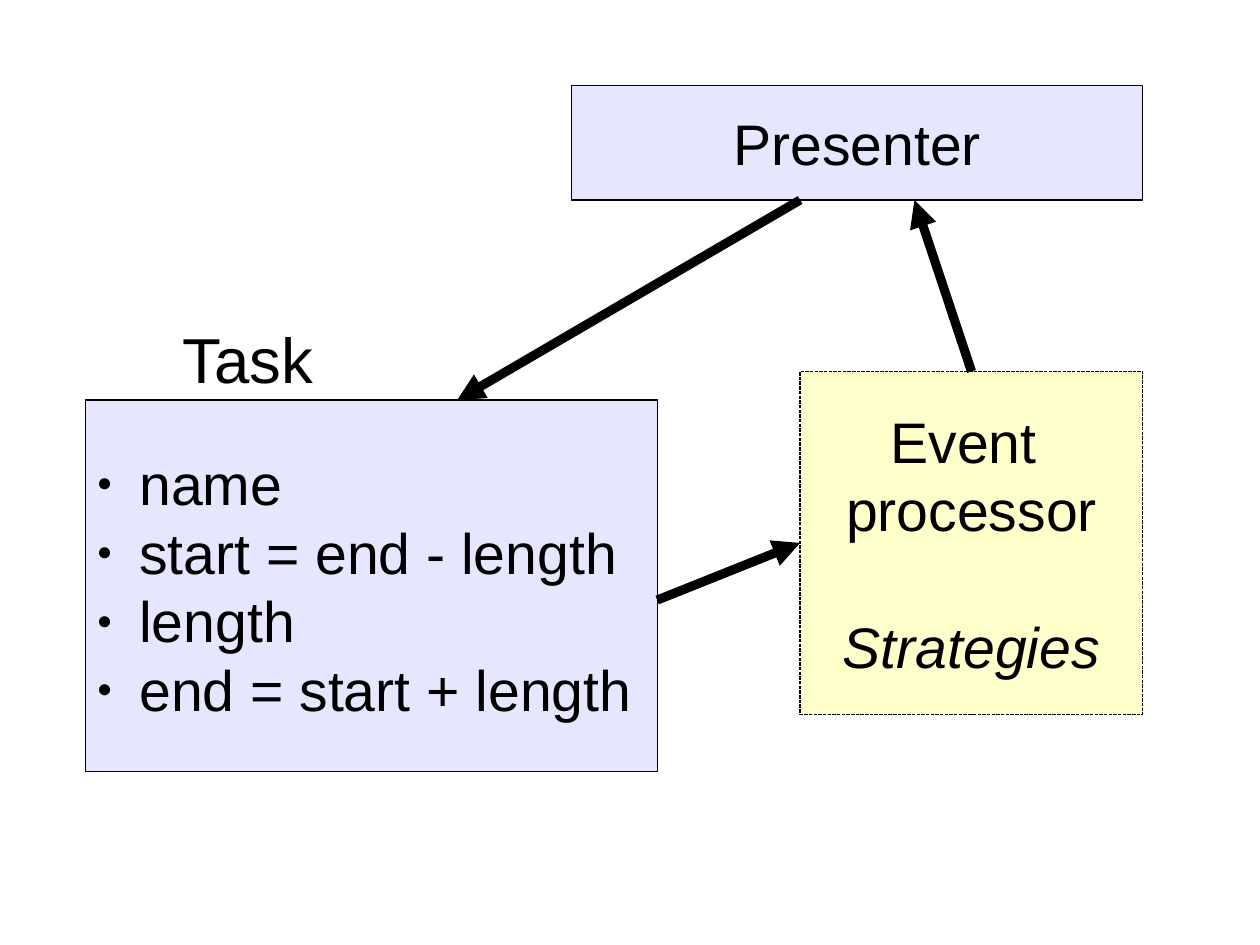
from dataclasses import dataclass

from lxml import etree
from pptx import Presentation
from pptx.dml.color import RGBColor
from pptx.enum.dml import MSO_LINE
from pptx.enum.shapes import MSO_CONNECTOR, MSO_SHAPE
from pptx.enum.text import MSO_ANCHOR, MSO_AUTO_SIZE, PP_ALIGN
from pptx.oxml.ns import qn
from pptx.slide import Slide
from pptx.text.text import TextFrame, _Paragraph
from pptx.util import Inches, Pt

RECTANGLE = MSO_SHAPE.RECTANGLE
STRAIGHT = MSO_CONNECTOR.STRAIGHT
DASHED = MSO_LINE.SQUARE_DOT
MIDDLE = MSO_ANCHOR.MIDDLE
TOP = MSO_ANCHOR.TOP
LEFT = PP_ALIGN.LEFT
CENTER = PP_ALIGN.CENTER
GROW = MSO_AUTO_SIZE.SHAPE_TO_FIT_TEXT

CENTIMETERS_PER_INCH = 2.54
SLIDE_WIDTH = Inches(28 / CENTIMETERS_PER_INCH)
SLIDE_HEIGHT = Inches(21 / CENTIMETERS_PER_INCH)


@dataclass(frozen=True)
class Theme:
    font: str = "Arial"
    ink: RGBColor = RGBColor(0x00, 0x00, 0x00)
    lavender: RGBColor = RGBColor(0xE6, 0xE6, 0xFF)
    yellow: RGBColor = RGBColor(0xFF, 0xFF, 0xCC)
    body_size: float = 36
    label_size: float = 40
    outline_width: float = 0
    arrow_width: float = 5.75
    bullet_indent: float = 0.37


THEME = Theme()


@dataclass(frozen=True)
class Line:
    text: str
    italic: bool = False
    bullet: bool = False
    space_before: float = 0


@dataclass(frozen=True)
class Box:
    left: float
    top: float
    width: float
    height: float
    fill: RGBColor
    lines: tuple[Line, ...]
    alignment: PP_ALIGN = CENTER
    dashed: bool = False


@dataclass(frozen=True)
class Arrow:
    start: tuple[float, float]
    end: tuple[float, float]


TASK_FIELDS = ("name", "start = end - length", "length", "end = start + length")

BOXES = (
    Box(0.75, 3.5, 5, 3.25, THEME.lavender,
        tuple(Line(field, bullet=True) for field in TASK_FIELDS), LEFT),
    Box(5, 0.75, 5, 1, THEME.lavender, (Line("Presenter"),)),
    Box(7, 3.25, 3, 3, THEME.yellow,
        (Line("Event "), Line("processor"),
         Line("Strategies", italic=True, space_before=43)), dashed=True),
)

ARROWS = (
    Arrow((7, 1.75), (4, 3.5)),
    Arrow((5.75, 5.25), (7, 4.75)),
    Arrow((8.5, 3.25), (8, 1.75)),
)


def add_bullet(paragraph: _Paragraph) -> None:
    properties = paragraph._p.get_or_add_pPr()
    indent = Inches(THEME.bullet_indent)
    properties.set("marL", str(indent))
    properties.set("indent", str(-indent))
    color = etree.SubElement(properties, qn("a:buClr"))
    etree.SubElement(color, qn("a:srgbClr"), val=str(THEME.ink))
    etree.SubElement(properties, qn("a:buSzPct"), val="45000")
    etree.SubElement(properties, qn("a:buFont"), typeface=THEME.font)
    etree.SubElement(properties, qn("a:buChar"), char="●")


def write_lines(frame: TextFrame, lines: tuple[Line, ...], size: float,
                alignment: PP_ALIGN) -> None:
    for index, line in enumerate(lines):
        paragraph = frame.add_paragraph() if index else frame.paragraphs[0]
        paragraph.alignment = alignment
        if line.space_before:
            paragraph.space_before = Pt(line.space_before)
        if line.bullet:
            add_bullet(paragraph)
        run = paragraph.add_run()
        run.text = line.text
        font_format = {"name": THEME.font, "size": Pt(size), "italic": line.italic}
        for name, value in font_format.items():
            setattr(run.font, name, value)
        run.font.color.rgb = THEME.ink


def format_frame(frame: TextFrame, anchor: MSO_ANCHOR, wrap: bool) -> None:
    frame_format = {
        "word_wrap": wrap,
        "vertical_anchor": anchor,
        "margin_left": Inches(0.1),
        "margin_right": Inches(0.1),
        "margin_top": Inches(0.05),
        "margin_bottom": Inches(0.05),
    }
    for name, value in frame_format.items():
        setattr(frame, name, value)


def draw_box(slide: Slide, box: Box) -> None:
    shape = slide.shapes.add_shape(
        RECTANGLE, Inches(box.left), Inches(box.top), Inches(box.width), Inches(box.height))
    shape.shadow.inherit = False
    shape.fill.solid()
    shape.fill.fore_color.rgb = box.fill
    shape.line.color.rgb = THEME.ink
    shape.line.width = Pt(THEME.outline_width)
    if box.dashed:
        shape.line.dash_style = DASHED
    format_frame(shape.text_frame, MIDDLE, True)
    write_lines(shape.text_frame, box.lines, THEME.body_size, box.alignment)


def draw_task_label(slide: Slide) -> None:
    label = slide.shapes.add_textbox(Inches(1.5), Inches(2.75), Inches(1.34), Inches(0.72))
    format_frame(label.text_frame, TOP, False)
    label.text_frame.auto_size = GROW
    write_lines(label.text_frame, (Line("Task"),), THEME.label_size, LEFT)


def draw_arrow(slide: Slide, arrow: Arrow) -> None:
    points = (Inches(value) for value in arrow.start + arrow.end)
    connector = slide.shapes.add_connector(STRAIGHT, *points)
    connector.line.color.rgb = THEME.ink
    connector.line.width = Pt(THEME.arrow_width)
    etree.SubElement(connector.line._get_or_add_ln(), qn("a:tailEnd"), type="triangle")
    etree.SubElement(connector._element.spPr, qn("a:effectLst"))


def main() -> None:
    presentation = Presentation()
    presentation.slide_width = SLIDE_WIDTH
    presentation.slide_height = SLIDE_HEIGHT
    slide = presentation.slides.add_slide(presentation.slide_layouts[6])
    for box in BOXES:
        draw_box(slide, box)
    draw_task_label(slide)
    for arrow in ARROWS:
        draw_arrow(slide, arrow)
    presentation.save("out.pptx")


if __name__ == "__main__":
    main()
